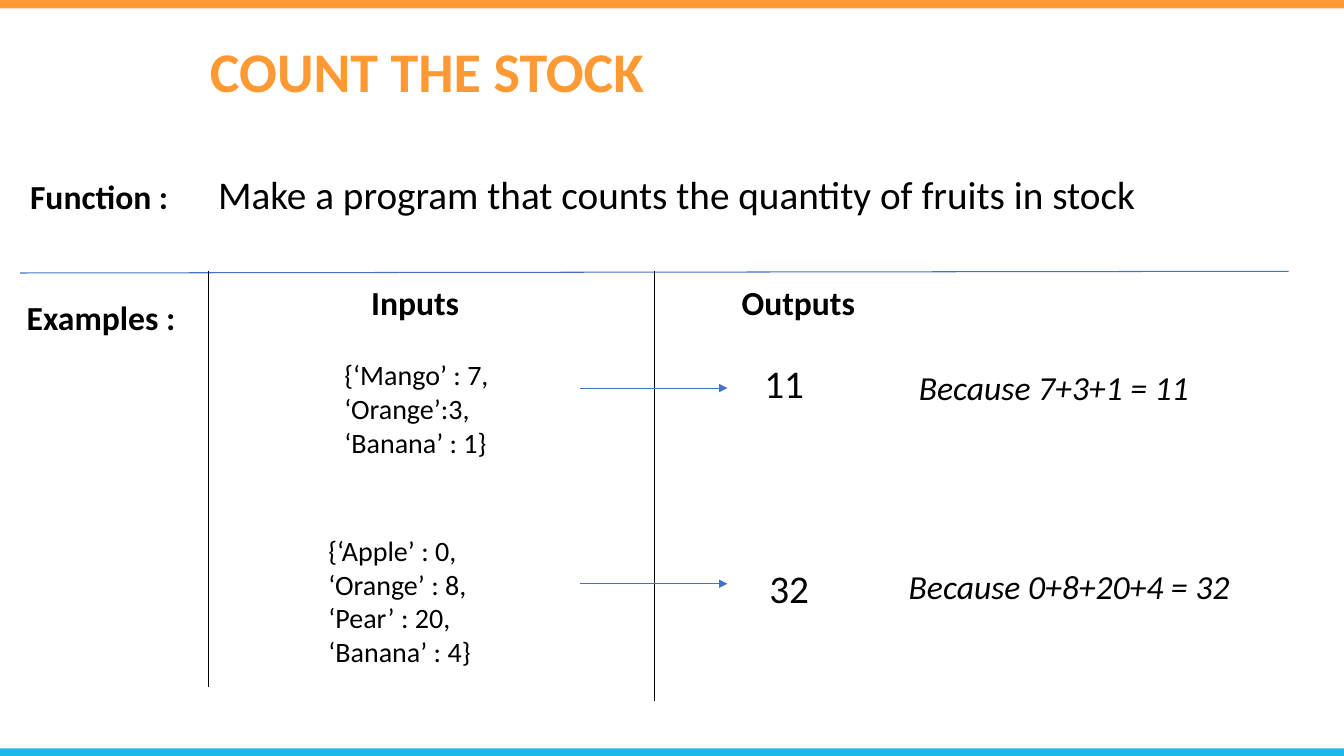
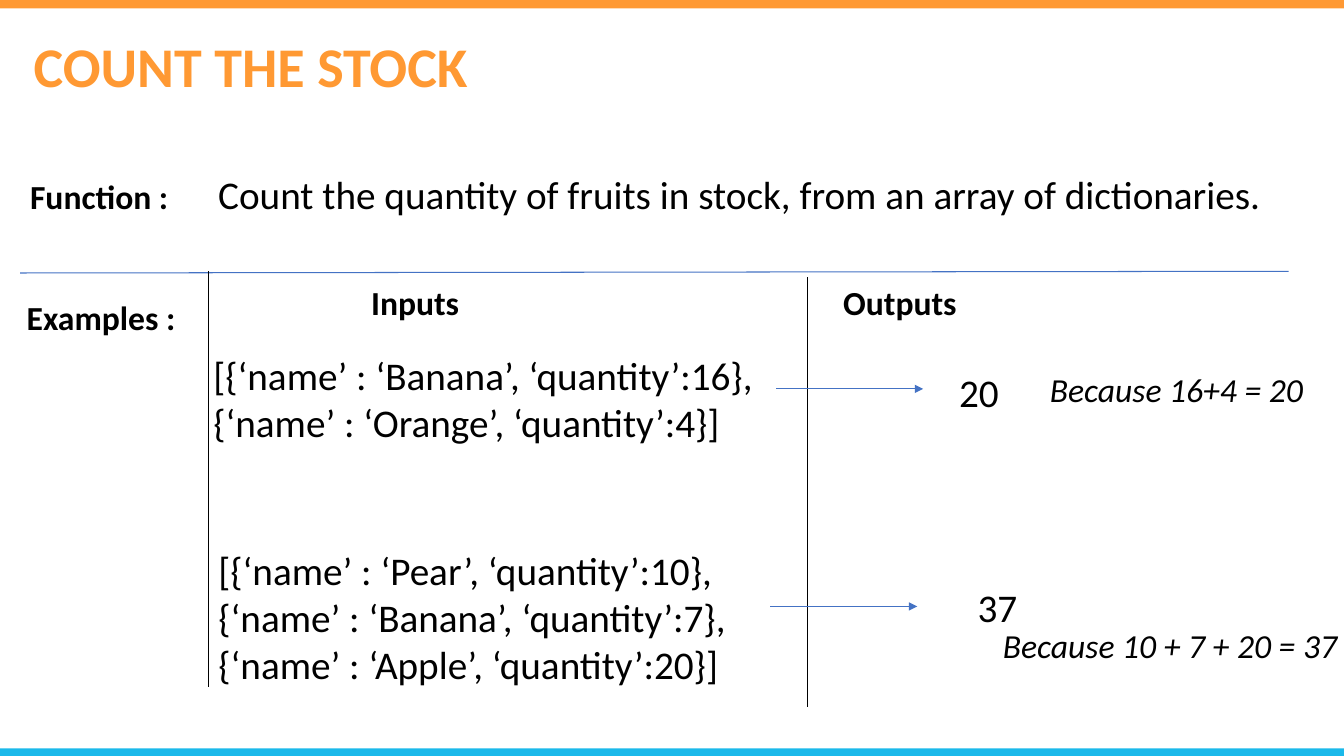
import lxml.etree
import pptx
import pptx.util
import pptx.dml.color
import pptx.enum.text
import pptx.enum.shapes
import pptx.oxml.ns

Pt = pptx.util.Pt
RGB = pptx.dml.color.RGBColor
Text = pptx.enum.text
Kind = pptx.enum.shapes
qn = pptx.oxml.ns.qn

theme = {
    "orange": RGB(0xFF, 0x99, 0x33),
    "cyan": RGB(0x1B, 0xB9, 0xEA),
    "blue": RGB(0x44, 0x72, 0xC4),
    "black": RGB(0, 0, 0),
    "line": Pt(0.75),
    "title": {"size": Pt(40), "bold": True},
    "label": {"size": Pt(24), "bold": True},
    "note": {"size": Pt(24), "italic": True},
    "large": {"size": Pt(28)},
    "code": {"size": Pt(20)},
    "font": {"name": "Calibri", "bold": False, "italic": False},
    "frame": {
        "word_wrap": True,
        "auto_size": Text.MSO_AUTO_SIZE.NONE,
        "vertical_anchor": Text.MSO_ANCHOR.TOP,
    },
    "para": {
        "alignment": Text.PP_ALIGN.LEFT,
        "space_before": Pt(0),
        "line_spacing": 1.0,
    },
}

deck = pptx.Presentation()
deck.slide_width = pptx.util.Inches(13.33)
deck.slide_height = pptx.util.Inches(7.5)
cols, rows = 160, 90
col = deck.slide_width / cols
row = deck.slide_height / rows


def write(shape, box, lines, style, color="black"):
    for side, size, unit in zip(("left", "top", "width", "height"), box, (col, row) * 2):
        setattr(shape, side, round(size * unit))
    frame = shape.text_frame
    for key, value in theme["frame"].items():
        setattr(frame, key, value)
    frame.text = "\n".join(lines)
    for para in frame.paragraphs:
        for key, value in theme["para"].items():
            setattr(para, key, value)
        if shape.is_placeholder:
            props = para._p.get_or_add_pPr()
            props.set("marL", "0")
            props.set("indent", "0")
            lxml.etree.SubElement(props, qn("a:buNone"))
        font = para.runs[0].font
        for key, value in {**theme["font"], **theme[style]}.items():
            setattr(font, key, value)
        font.color.rgb = theme[color]


def draw(slide, start, end, color, arrow=False):
    ends = [round(n * unit) for n, unit in zip((*start, *end), (col, row) * 2)]
    link = slide.shapes.add_connector(Kind.MSO_CONNECTOR.STRAIGHT, *ends)
    link.line.color.rgb = theme[color]
    link.line.width = theme["line"]
    props = link._element.spPr
    if arrow:
        lxml.etree.SubElement(props.find(qn("a:ln")), qn("a:tailEnd"), type="triangle")
    lxml.etree.SubElement(props, qn("a:effectLst"))


bands = [(0, 1, "orange"), (89.1, 0.9, "cyan")]
edge, rule = 24.8, 32.3
reach = 17.5

pages = [
    {
        "title": (23.8, 3.8, 63.2, 17.4),
        "task": "Make a program that counts the quantity of fruits in stock",
        "split": (77.9, 32.3),
        "head": 87.1,
        "style": "code",
        "cases": [
            {
                "input": ["{‘Mango’ : 7,", "‘Orange’:3,", "‘Banana’ : 1}"],
                "box": (39.8, 42, 24.8, 13.3),
                "arrow": (69.1, 46.2),
                "sum": ("11", 89.8, 42.2),
                "note": ("Because 7+3+1 = 11", 108.2, 43.1, 39),
            },
            {
                "input": ["{‘Apple’ : 0,", "‘Orange’ : 8,", "‘Pear’ : 20,", "‘Banana’ : 4}"],
                "box": (37.9, 62.9, 32.2, 17.4),
                "arrow": (69.1, 69.5),
                "sum": ("32", 90.4, 66.6),
                "note": ("Because 0+8+20+4 = 32", 107, 66.8, 41.4),
            },
        ],
    },
    {
        "title": (2.8, 3.2, 54.6, 9.2),
        "task": "Count the quantity of fruits in stock, from an array of dictionaries.",
        "split": (96.1, 33),
        "head": 99.2,
        "style": "large",
        "cases": [
            {
                "input": [
                    "[{‘name’ : ‘Banana’, ‘quantity’:16},",
                    "{‘name’ : ‘Orange’, ‘quantity’:4}]",
                ],
                "box": (24.2, 41.2, 68, 12.5),
                "arrow": (92.4, 46.3),
                "sum": ("20", 113, 43.2),
                "note": ("Because 16+4 = 20", 123.8, 43.3, 39),
            },
            {
                "input": [
                    "[{‘name’ : ‘Pear’, ‘quantity’:10},",
                    "{‘name’ : ‘Banana’, ‘quantity’:7},",
                    "{‘name’ : ‘Apple’, ‘quantity’:20}]",
                ],
                "box": (24.8, 64.4, 71.3, 18.1),
                "arrow": (91.7, 72.2),
                "sum": ("37", 115.2, 68.9),
                "note": ("Because 10 + 7 + 20 = 37", 118.2, 73.8, 50.2),
            },
        ],
    },
]

for page in pages:
    slide = deck.slides.add_slide(deck.slide_layouts.get_by_name("Two Content"))
    shapes = slide.shapes
    for top, high, color in bands:
        band = shapes.add_shape(
            Kind.MSO_SHAPE.RECTANGLE, 0, round(top * row), deck.slide_width, round(high * row)
        )
        band.shadow.inherit = False
        band.fill.solid()
        band.fill.fore_color.rgb = theme[color]
        band.line.fill.background()

    write(shapes.title, page["title"], ["COUNT THE STOCK"], "title", "orange")

    x, y = page["split"]
    draw(slide, (2.4, 32.5), (153.4, rule), "blue")
    draw(slide, (edge, rule), (edge, 81.8), "black")
    draw(slide, (x, y), (x, y + 51.2), "black")

    texts = [
        ("Function :", (2.4, 20.3, 24.5, 10.9), "label"),
        (page["task"], (edge, 19.7, 133.7, 6.8), "large"),
        ("Examples :", (2, 34.7, 24.8, 10.9), "label"),
        ("Inputs", (43, 33, 28.6, 10.9), "label"),
        ("Outputs", (page["head"], 33, 18.1, 10.9), "label"),
    ]
    bodies = list(slide.placeholders)[1:]
    for case, body in zip(page["cases"], bodies):
        write(body, case["box"], case["input"], page["style"])
        x, y = case["arrow"]
        draw(slide, (x, y), (x + reach, y), "blue", True)
        total, x, y = case["sum"]
        texts.append((total, (x, y, 10.1, 6.8), "large"))
        note, x, y, wide = case["note"]
        texts.append((note, (x, y, wide, 6), "note"))

    for text, box, style in texts:
        write(shapes.add_textbox(0, 0, 0, 0), box, [text], style)

deck.save("out.pptx")
